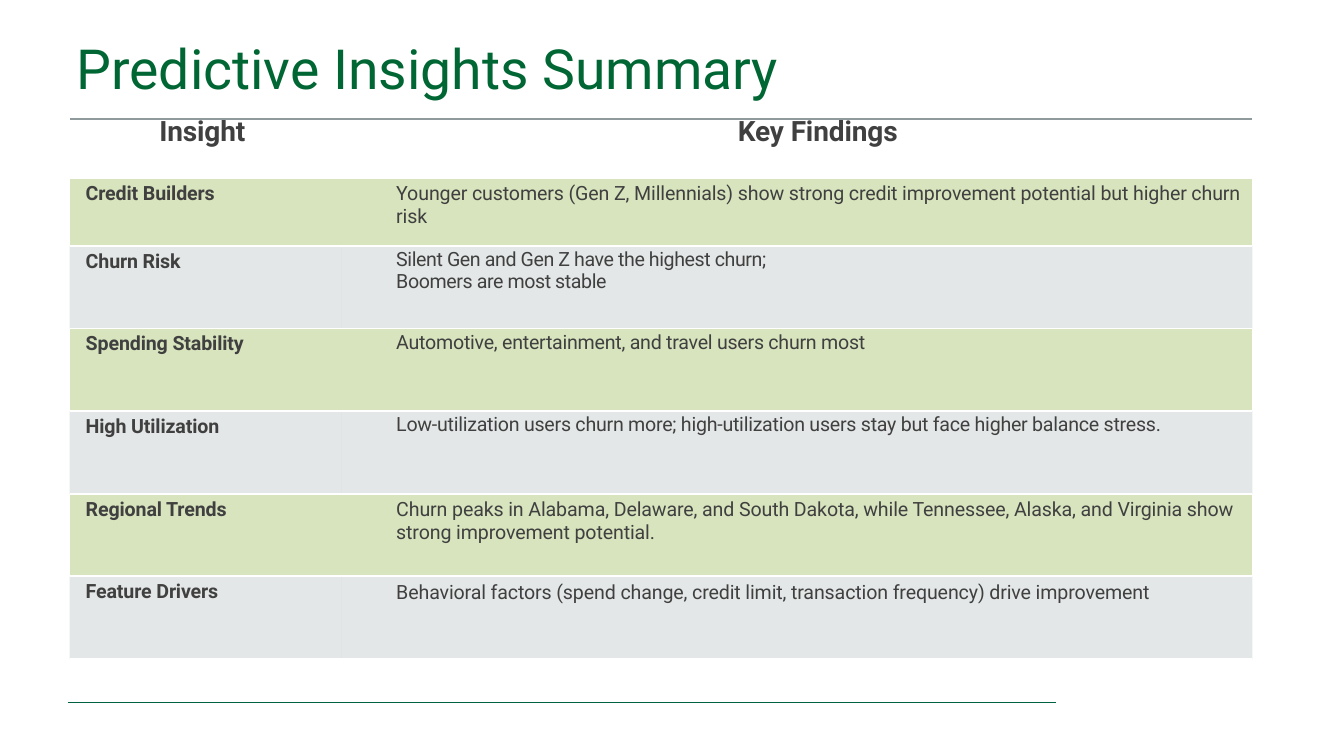
from lxml.etree import SubElement
from pptx import Presentation
from pptx.dml.color import RGBColor
from pptx.enum.shapes import MSO_CONNECTOR
from pptx.enum.text import MSO_ANCHOR, PP_ALIGN
from pptx.oxml.ns import qn
from pptx.util import Inches, Pt

WHITE = RGBColor(0xFF, 0xFF, 0xFF)
GREEN = RGBColor(0x00, 0x66, 0x33)
DARK_GREEN = RGBColor(0x00, 0x62, 0x41)
TEXT = RGBColor(0x40, 0x40, 0x40)
RULE = RGBColor(0x8F, 0x9A, 0x9D)
LIME = RGBColor(0xD7, 0xE4, 0xBD)
GRAY = RGBColor(0xB4, 0xBB, 0xBD)
GRAY_ALPHA = 35
NO_GRID_STYLE = "{2D5ABB26-0587-4C30-8999-92F81FD0307C}"

COLUMNS = [2.7, 9.03]
HEADER_HEIGHT, FIRST_HEIGHT, ROW_HEIGHT = 0.59, 0.67, 0.82

# Insight, finding, space before, line spacing and letter spacing of the finding
INSIGHTS = [
    ("Credit Builders",
     "Younger customers (Gen Z, Millennials) show strong credit improvement "
     "potential but higher churn risk", 2.5, None, -0.1),
    ("Churn Risk",
     "Silent Gen and Gen Z have the highest churn;\nBoomers are most stable",
     2.6, 15.6, -0.3),
    ("Spending Stability",
     "Automotive, entertainment, and travel users churn most", 2.7, 15.5, -0.2),
    ("High Utilization",
     "Low-utilization users churn more; high-utilization users stay but face "
     "higher balance stress.", 2.8, 15.5, -0.2),
    ("Regional Trends",
     "Churn peaks in Alabama, Delaware, and South Dakota, while Tennessee, "
     "Alaska, and Virginia show strong improvement potential.", 2.9, None, -0.1),
    ("Feature Drivers",
     "Behavioral factors (spend change, credit limit, transaction frequency) "
     "drive improvement", 3, 14.3, -0.1),
]


class InsightSlide:
    font = "Roboto"

    def __init__(self, prs):
        self.slide = prs.slides.add_slide(prs.slide_layouts[5])

    def style(self, p, size, color, bold=False, spacing=-0.1):
        """Set the paragraph font and the letter spacing, in points."""
        f = p.font
        f.name, f.size, f.bold = self.font, Pt(size), bold
        f.color.rgb = color
        for r in p.runs:
            r.font._element.set("spc", str(round(spacing * 100)))

    def title(self, text, left, top, width, height):
        sp = self.slide.shapes.title
        sp.left, sp.top = Inches(left), Inches(top)
        sp.width, sp.height = Inches(width), Inches(height)
        tf = sp.text_frame
        tf.text = text
        tf.vertical_anchor = MSO_ANCHOR.TOP
        tf.margin_left, tf.margin_top = Inches(0.23), Inches(0.02)
        tf.margin_right = tf.margin_bottom = 0
        p = tf.paragraphs[0]
        p.alignment = PP_ALIGN.LEFT
        p.space_before = Pt(1.3)
        self.style(p, 39.5, GREEN, spacing=0)

    def line(self, x1, x2, y, color, width):
        cxn = self.slide.shapes.add_connector(
            MSO_CONNECTOR.STRAIGHT, Inches(x1), Inches(y), Inches(x2), Inches(y))
        cxn.line.color.rgb = color
        cxn.line.width = Pt(width)
        SubElement(cxn._element.spPr, qn("a:effectLst"))

    def table(self, left, top, columns, rows):
        frame = self.slide.shapes.add_table(
            len(rows), len(columns), Inches(left), Inches(top),
            Inches(sum(columns)), Inches(sum(rows)))
        table = frame.table
        table.first_row = table.horz_banding = False
        table._tbl.tblPr.find(qn("a:tableStyleId")).text = NO_GRID_STYLE
        for column, width in zip(table.columns, columns):
            column.width = Inches(width)
        for row, height in zip(table.rows, rows):
            row.height = Inches(height)
        return table

    def border(self, cell, side, color):
        ln = SubElement(cell._tc.get_or_add_tcPr(), qn(f"a:{side}"), w=str(Pt(1.5)))
        fill = SubElement(ln, qn("a:solidFill"))
        SubElement(fill, qn("a:srgbClr"), val=str(color))

    def fill(self, cell, color, alpha=None):
        cell.fill.solid()
        cell.fill.fore_color.rgb = color
        if alpha is not None:
            clr = cell._tc.tcPr.find(f"{qn('a:solidFill')}/{qn('a:srgbClr')}")
            SubElement(clr, qn("a:alpha"), val=str(alpha * 1000))

    def cell(self, cell, text, indent, size, top=0.0, before=0, leading=None,
             align=PP_ALIGN.LEFT, bold=False, spacing=-0.1, rule=WHITE):
        cell.margin_left, cell.margin_top = Inches(indent), Inches(top)
        cell.margin_right = cell.margin_bottom = 0
        p = cell.text_frame.paragraphs[0]
        p.text = text
        p.alignment = align
        p.space_before = Pt(before)
        if leading:
            p.line_spacing = Pt(leading)
        self.style(p, size, TEXT, bold, spacing)
        self.border(cell, "lnT", rule)
        self.border(cell, "lnB", WHITE)


def main():
    prs = Presentation()
    prs.slide_width, prs.slide_height = Inches(13.33), Inches(7.5)
    s = InsightSlide(prs)
    s.line(0.67, 10.47, 6.97, DARK_GREEN, 1)
    s.title("Predictive Insights Summary", 0.53, 0.32, 11.59, 0.74)

    heights = [HEADER_HEIGHT, FIRST_HEIGHT] + [ROW_HEIGHT] * (len(INSIGHTS) - 1)
    table = s.table(0.69, 1.18, COLUMNS, heights)

    headers = [("Insight", 0.89, PP_ALIGN.LEFT), ("Key Findings", 0.41, PP_ALIGN.CENTER)]
    for col, (text, indent, align) in enumerate(headers):
        cell = table.cell(0, col)
        s.cell(cell, text, indent, 20, leading=21.4, align=align, bold=True, rule=RULE)
        cell.fill.background()

    for row, (insight, finding, before, leading, spacing) in enumerate(INSIGHTS, 1):
        name, detail = table.cell(row, 0), table.cell(row, 1)
        last = row == len(INSIGHTS)
        s.cell(name, insight, 0.16, 14, top=0.04, before=before, bold=True)
        s.cell(detail, finding, 0.54, 14, top=0.08 if last else 0.04,
               before=5.5 if last else before, leading=leading, spacing=spacing)
        for cell in (name, detail):
            if row % 2:
                s.fill(cell, LIME)
            else:
                s.fill(cell, GRAY, GRAY_ALPHA)

    prs.save("out.pptx")


if __name__ == "__main__":
    main()
